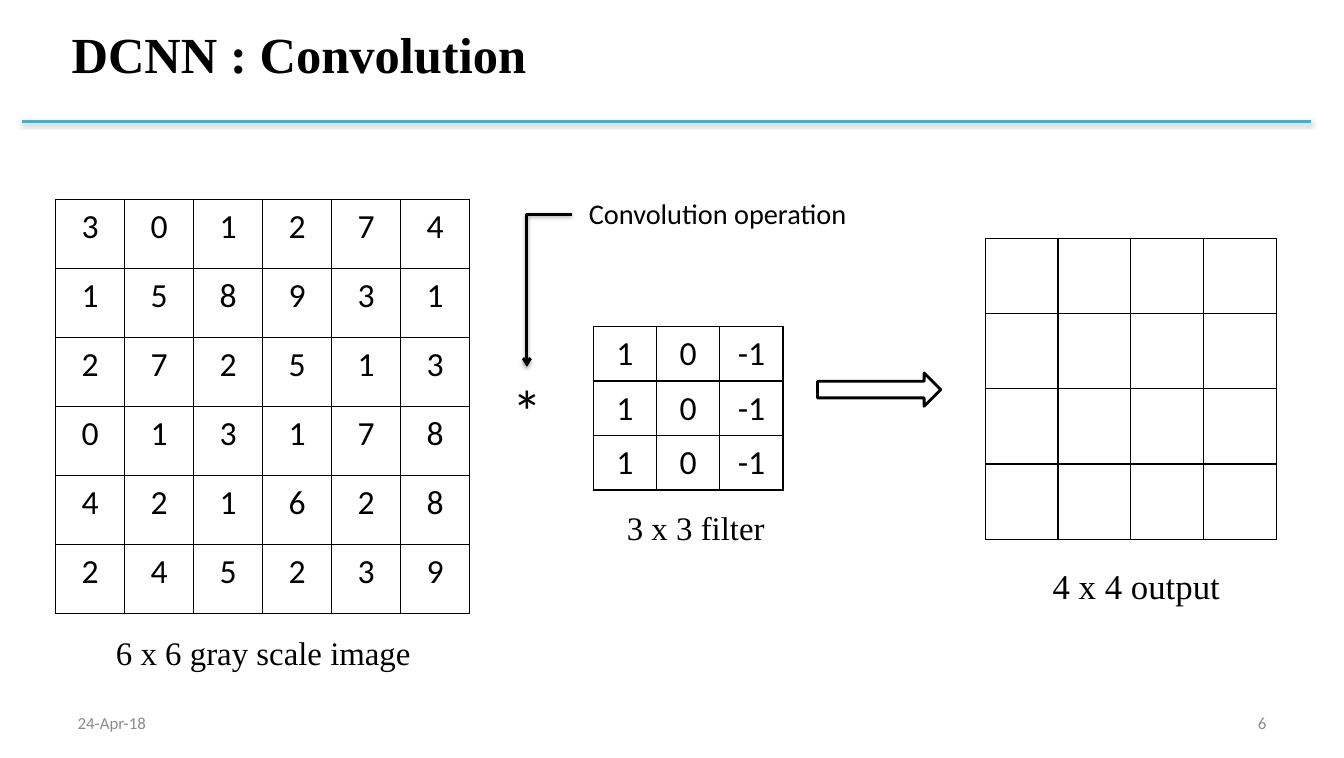
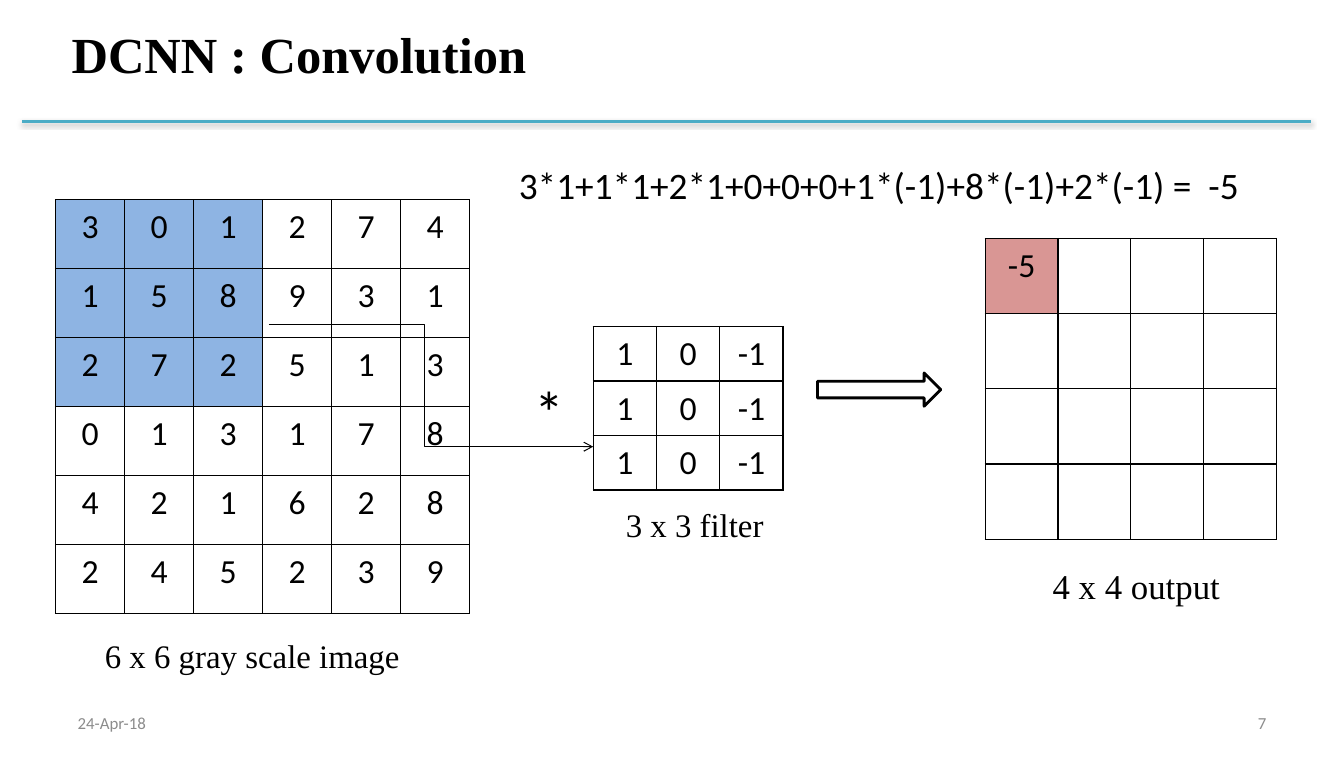
from lxml import etree
from pptx import Presentation
from pptx import util as u
from pptx.dml.color import RGBColor
from pptx.enum import shapes, text
from pptx.oxml.ns import qn

UNIT = u.Inches(0.1)  # one column or row of the slide grid
COLUMNS, ROWS = 133, 75
SANS, SERIF = "Calibri", "Times New Roman"
BLACK, WHITE, GRAY, TEAL = "000000", "FFFFFF", "8C8C8C", "4BACC6"
BLUE, ROSE = "8EB4E3", "D99694"
LEFT, CENTER, RIGHT = text.PP_ALIGN.LEFT, text.PP_ALIGN.CENTER, text.PP_ALIGN.RIGHT
CELL_INSETS = (1.3, 0.7)

IMAGE = [
    [3, 0, 1, 2, 7, 4],
    [1, 5, 8, 9, 3, 1],
    [2, 7, 2, 5, 1, 3],
    [0, 1, 3, 1, 7, 8],
    [4, 2, 1, 6, 2, 8],
    [2, 4, 5, 2, 3, 9],
]
FILTER = [[1, 0, -1]] * 3


def grid(*cells):
    return [u.Emu(round(cell * UNIT)) for cell in cells]


def color(hex_string):
    return RGBColor.from_string(hex_string)


def add_xml(parent, tag, **attributes):
    return etree.SubElement(parent, qn(tag), attributes)


def set_insets(holder, insets):
    """Set the margins of a text frame or a table cell."""
    across, down = grid(*insets)
    holder.margin_left = holder.margin_right = across
    holder.margin_top = holder.margin_bottom = down


def style_paragraph(para, size, font, ink, align, bold=False):
    para.alignment = align
    for span in para.runs:
        span.font.size = u.Pt(size)
        span.font.name = font
        span.font.bold = bold
        span.font.color.rgb = color(ink)


def add_text(page, words, place, size, font=SANS, ink=BLACK, align=LEFT, bold=False):
    """Add a line of text centred vertically in its box."""
    box = page.shapes.add_textbox(*grid(*place))
    frame = box.text_frame
    frame.word_wrap = True
    frame.vertical_anchor = text.MSO_ANCHOR.MIDDLE
    frame.text = words
    style_paragraph(frame.paragraphs[0], size, font, ink, align, bold)
    return box


def add_label(page, words, place, size, font=SERIF):
    """Add a centred label that starts at the top of its box."""
    box = add_text(page, words, place, size, font, align=CENTER)
    frame = box.text_frame
    frame.vertical_anchor = text.MSO_ANCHOR.TOP
    set_insets(frame, CELL_INSETS)
    spacing = add_xml(frame.paragraphs[0]._p.get_or_add_pPr(), "a:spcBef")
    add_xml(spacing, "a:spcPct", val="20000")
    return box


def add_line(page, kind, start, end, ink=BLACK, width=2, arrow=False, shadow=True):
    line = page.shapes.add_connector(kind, *grid(*start, *end))
    line.line.color.rgb = color(ink)
    line.line.width = u.Pt(width)
    if arrow:
        add_xml(line.line._get_or_add_ln(), "a:tailEnd", type="arrow")
    effects = add_xml(line._element.spPr, "a:effectLst")
    if shadow:
        outer = add_xml(effects, "a:outerShdw", blurRad=str(u.Pt(3.1)),
                        dist=str(u.Pt(1.6)), dir="5400000", rotWithShape="0")
        add_xml(add_xml(outer, "a:srgbClr", val=BLACK), "a:alpha", val="38000")
    return line


def shape_elbow(line, preset, bend=None):
    """Choose the elbow's preset and, if given, the share of its width at the bend."""
    geometry = line._element.spPr.find(qn("a:prstGeom"))
    geometry.set("prst", preset)
    if bend is not None:
        guides = geometry.find(qn("a:avLst"))
        if guides is None:
            guides = add_xml(geometry, "a:avLst")
        add_xml(guides, "a:gd", name="adj1", fmla=f"val {round(bend * 100000)}")


def style_cell(cell, fill):
    set_insets(cell, CELL_INSETS)
    properties = cell._tc.get_or_add_tcPr()
    for side in ("a:lnL", "a:lnR", "a:lnT", "a:lnB"):
        border = add_xml(properties, side, w=str(u.Pt(1)))
        add_xml(add_xml(border, "a:solidFill"), "a:srgbClr", val=BLACK)
    if fill:
        cell.fill.solid()
        cell.fill.fore_color.rgb = color(fill)
    else:
        cell.fill.background()


def add_matrix(page, values, place, marked=0, mark=None):
    """Add a table whose top left block of marked by marked cells is filled."""
    count = len(values)
    table = page.shapes.add_table(count, count, *grid(*place)).table
    table.first_row = table.horz_banding = False
    for row, numbers in enumerate(values):
        for column, number in enumerate(numbers):
            cell = table.cell(row, column)
            style_cell(cell, mark if max(row, column) < marked else None)
            cell.text = str(number)
            style_paragraph(cell.text_frame.paragraphs[0], 24, SANS, BLACK, CENTER)


def add_block_arrow(page):
    arrow = page.shapes.add_shape(shapes.MSO_SHAPE.RIGHT_ARROW,
                                  *grid(80.9, 36.9, 12.2, 3.3))
    arrow.shadow.inherit = False
    arrow.fill.solid()
    arrow.fill.fore_color.rgb = color(WHITE)
    arrow.line.color.rgb = color(BLACK)
    arrow.line.width = u.Pt(2)


def add_page(deck, number):
    """Add a slide with the title, rule and footer that all slides share."""
    page = deck.slides.add_slide(deck.slide_layouts[6])
    add_text(page, "DCNN : Convolution", (6.1, -0.8, 119.7, 12.2), 36, SERIF, bold=True)
    add_text(page, "24-Apr-18", (6.7, 69.5, 31, 4), 12, ink=GRAY)
    add_text(page, str(number), (95.3, 69.5, 31, 4), 12, ink=GRAY, align=RIGHT)
    add_line(page, shapes.MSO_CONNECTOR.STRAIGHT, (2.2, 12), (129.7, 12), TEAL)
    return page


def add_convolution(page, result="", marked=0):
    """Add the image, filter and output matrices, with the first step marked."""
    output = [[""] * 4 for _ in range(4)]
    output[0][0] = result
    add_matrix(page, IMAGE, (5.5, 19.75, 41, 41), marked, BLUE)
    add_matrix(page, FILTER, (58.7, 32.3, 18.8, 16.1))
    add_matrix(page, output, (97.5, 23.6, 28.8, 29.75), min(marked, 1), ROSE)
    add_block_arrow(page)
    add_label(page, "4 x 4 output", (96.4, 55.2, 32.1, 4.4), 24.8)


def add_captions(page, image_place, filter_place):
    add_label(page, "6 x 6 gray scale image", image_place, 23.4)
    add_label(page, "3 x 3 filter", filter_place, 23.4)


def add_operator(page, left, top):
    return add_label(page, "*", (left, top, 8.9, 10), 42.6, SANS)


def add_operation_page(deck):
    page = add_page(deck, 6)
    add_convolution(page)
    add_captions(page, (10, 61.9, 32.1, 4.4), (52.8, 49.5, 32.1, 4.4))
    operator = add_operator(page, 47.7, 36.3)
    name = add_label(page, "Convolution operation", (56.6, 18.7, 28.8, 5), 20.2, SANS)
    pointer = add_line(page, shapes.MSO_CONNECTOR.ELBOW, (56.6, 21.2), (52.1, 36.3),
                       arrow=True)
    pointer.begin_connect(name, 1)
    pointer.end_connect(operator, 0)
    shape_elbow(pointer, "bentConnector2")


def add_first_step_page(deck):
    page = add_page(deck, 7)
    add_convolution(page, result="-5", marked=3)
    add_captions(page, (8.9, 62.2, 32.1, 4.4), (52.1, 49.2, 33.3, 4.9))
    add_operator(page, 49.9, 36.4)
    pointer = add_line(page, shapes.MSO_CONNECTOR.ELBOW, (26.6, 32.1), (58.7, 44.2),
                       width=0.75, arrow=True, shadow=False)
    shape_elbow(pointer, "bentConnector3", bend=0.48)
    add_label(page, "3*1+1*1+2*1+0+0+0+1*(-1)+8*(-1)+2*(-1) =  -5",
              (46.6, 15.3, 80.9, 7.8), 26.6, SANS)


def main():
    deck = Presentation()
    deck.slide_width, deck.slide_height = grid(COLUMNS, ROWS)
    add_operation_page(deck)
    add_first_step_page(deck)
    deck.save("out.pptx")


if __name__ == "__main__":
    main()
